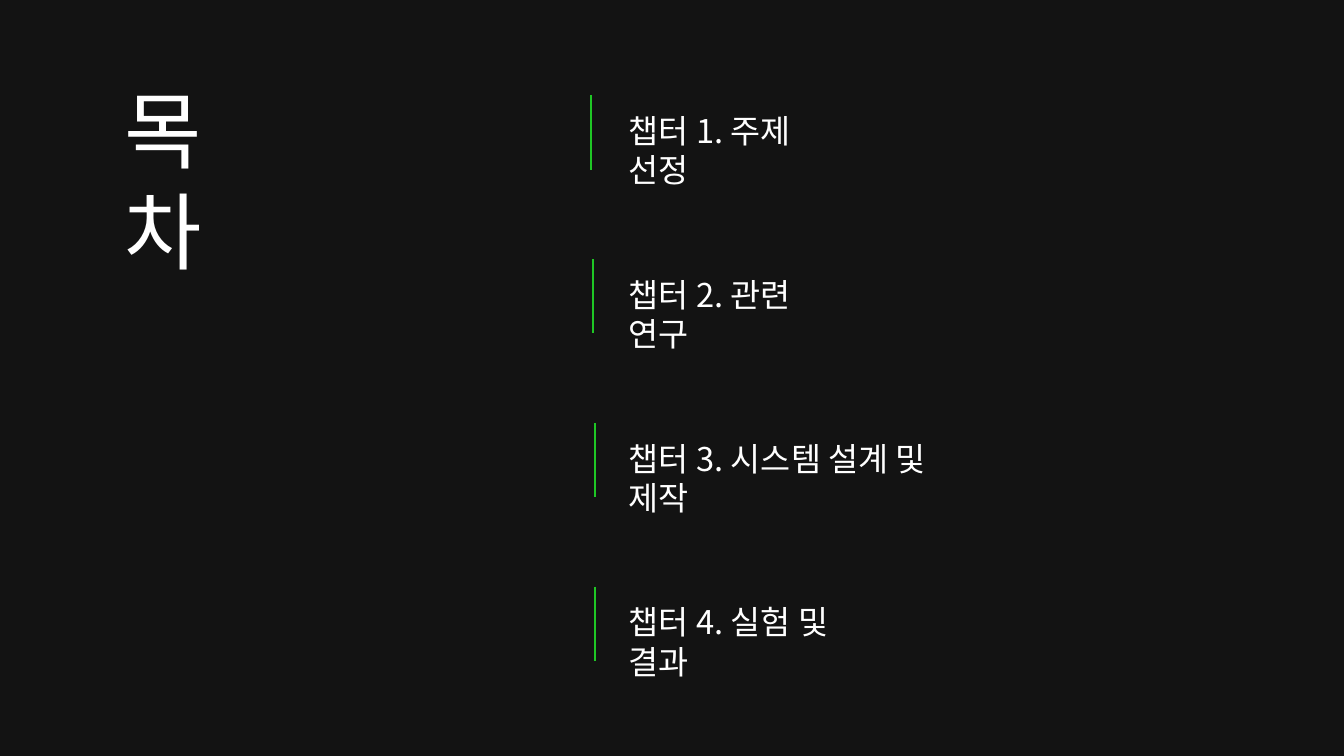
from dataclasses import dataclass

from lxml.etree import SubElement
from pptx import Presentation
from pptx.dml.color import RGBColor
from pptx.enum.shapes import MSO_CONNECTOR as Connector
from pptx.enum.text import MSO_AUTO_SIZE as AutoSize
from pptx.oxml.ns import qn
from pptx.util import Cm, Pt


@dataclass(frozen=True)
class Theme:
    font: str = "Noto Sans CJK KR"
    background: RGBColor = RGBColor(0x13, 0x13, 0x13)
    text: RGBColor = RGBColor(0xFF, 0xFF, 0xFF)
    accent: RGBColor = RGBColor(0x1F, 0xC7, 0x25)
    title_size: Pt = Pt(90)
    chapter_size: Pt = Pt(35)
    bar_width: Pt = Pt(2.25)


THEME = Theme()

# Chapter text, width of its box and left of its bar, in cm
CHAPTERS = [
    ("챕터 1. 주제 선정", 7.82, 22.35),
    ("챕터 2. 관련 연구", 7.82, 22.43),
    ("챕터 3. 시스템 설계 및 제작", 12.45, 22.5),
    ("챕터 4. 실험 및 결과", 9.07, 22.5),
]
CHAPTER_LEFT, CHAPTER_TOP, CHAPTER_HEIGHT = 23.77, 4.17, 1.55
BAR_TOP, BAR_LENGTH = 3.61, 2.8
CHAPTER_PITCH = 6.19


def add_text(page, text, left, top, width, height, size):
    box = page.shapes.add_textbox(Cm(left), Cm(top), Cm(width), Cm(height))
    frame = box.text_frame
    frame.word_wrap = True
    frame.auto_size = AutoSize.SHAPE_TO_FIT_TEXT
    frame.margin_left = frame.margin_right = frame.margin_bottom = 0
    frame.margin_top = Cm(0.03)
    para = frame.paragraphs[0]
    para.text = text
    para.space_before = Pt(1)
    para.font.size = size
    para.font.color.rgb = THEME.text
    span = para.runs[0]
    span.font.name = THEME.font
    # Hangul takes its typeface from the East Asian font
    SubElement(span.font._element, qn("a:ea"), typeface=THEME.font)


def add_bar(page, left, top):
    bar = page.shapes.add_connector(
        Connector.STRAIGHT, Cm(left), Cm(top), Cm(left), Cm(top + BAR_LENGTH))
    bar.line.color.rgb = THEME.accent
    bar.line.width = THEME.bar_width
    SubElement(bar._element.spPr, qn("a:effectLst"))


def main():
    deck = Presentation()
    deck.slide_width, deck.slide_height = Cm(50.8), Cm(28.58)
    page = deck.slides.add_slide(deck.slide_layouts[6])
    fill = page.background.fill
    fill.solid()
    fill.fore_color.rgb = THEME.background

    add_text(page, "목 차", 4.72, 2.95, 6.1, 3.89, THEME.title_size)
    for index, (chapter, width, bar_left) in enumerate(CHAPTERS):
        offset = index * CHAPTER_PITCH
        add_text(page, chapter, CHAPTER_LEFT, CHAPTER_TOP + offset,
                 width, CHAPTER_HEIGHT, THEME.chapter_size)
        add_bar(page, bar_left, BAR_TOP + offset)

    deck.save("out.pptx")


if __name__ == "__main__":
    main()
